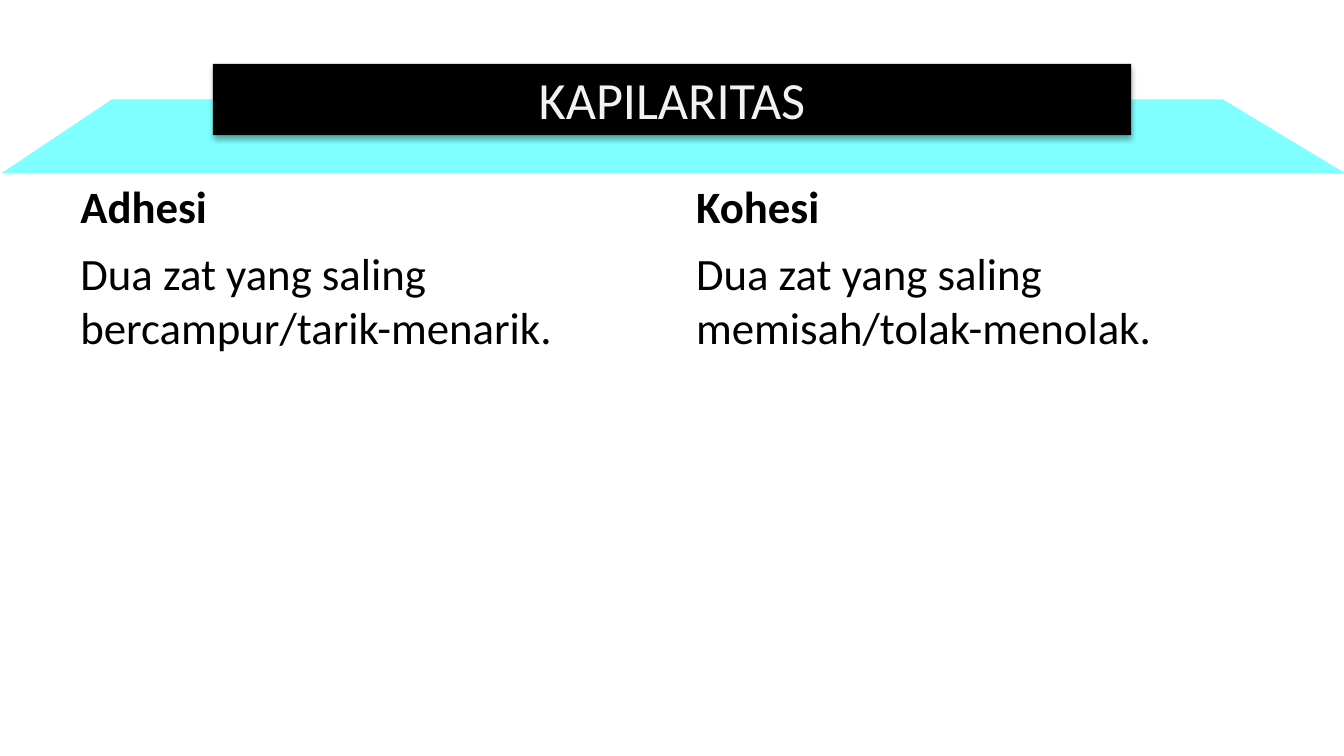
from lxml import etree
from pptx import Presentation
from pptx.dml.color import RGBColor
from pptx.enum import shapes, text
from pptx.oxml import ns
from pptx.util import Pt

COLORS = {"band": "00FFFF", "bar": "000000", "title": "F2F2F2", "body": "000000"}

prs = Presentation()
prs.slide_width, prs.slide_height = Pt(720), Pt(405)
s = prs.slides.add_slide(prs.slide_layouts[5])


def paint(sp, color):
    sp.fill.solid()
    sp.fill.fore_color.rgb = RGBColor.from_string(COLORS[color])
    sp.line.fill.background()
    sp.shadow.inherit = False


def write(tf, words, size, color, bold=False):
    tf.word_wrap = True
    p = tf.paragraphs[0]
    r = p.add_run()
    r.text = words
    r.font.name, r.font.size, r.font.bold = "Calibri", Pt(size), bold
    r.font.color.rgb = RGBColor.from_string(COLORS[color])
    return p


# Half-transparent band behind the title
fb = s.shapes.build_freeform(Pt(60), Pt(53.2), scale=1.0)
fb.add_line_segments([(Pt(655), Pt(53.2)), (Pt(720.6), Pt(92.8)), (Pt(0.8), Pt(92.8))])
band = fb.convert_to_shape()
paint(band, "band")
clr = band._element.spPr.find(".//" + ns.qn("a:srgbClr"))
etree.SubElement(clr, ns.qn("a:alpha"), val="50000")

# Title bar with a soft shadow below
bar = s.shapes.add_shape(shapes.MSO_SHAPE.RECTANGLE, Pt(114), Pt(34.2), Pt(492), Pt(38.2))
paint(bar, "bar")
effects = bar._element.spPr.find(ns.qn("a:effectLst"))
shadow = etree.SubElement(effects, ns.qn("a:outerShdw"), blurRad=str(Pt(3.1)),
                          dist=str(Pt(1.8)), dir="5400000", rotWithShape="0")
clr = etree.SubElement(shadow, ns.qn("a:srgbClr"), val="000000")
etree.SubElement(clr, ns.qn("a:alpha"), val="35000")

# Title, brought in front of the bar
title = s.shapes.title
title.left, title.top, title.width, title.height = Pt(184.3), Pt(32.6), Pt(351.4), Pt(41.2)
p = write(title.text_frame, "KAPILARITAS", 28, "title")
p.alignment = text.PP_ALIGN.CENTER
title.text_frame.vertical_anchor = text.MSO_ANCHOR.TOP
bar._element.addnext(title._element)

# Two columns, each a heading over its definition
columns = [("Adhesi", "Dua zat yang saling bercampur/tarik-menarik."),
           ("Kohesi", "Dua zat yang saling memisah/tolak-menolak.")]
for i, (heading, definition) in enumerate(columns):
    x = 36 + i * 329.8
    for words, top, height, bold, anchor in (
            (heading, 90.6, 37.6, True, text.MSO_ANCHOR.BOTTOM),
            (definition, 128.2, 233.3, False, text.MSO_ANCHOR.TOP)):
        tf = s.shapes.add_textbox(Pt(x), Pt(top), Pt(318.2), Pt(height)).text_frame
        tf.vertical_anchor = anchor
        p = write(tf, words, 24, "body", bold)
        p.space_before = Pt(4.8)

prs.save("out.pptx")
